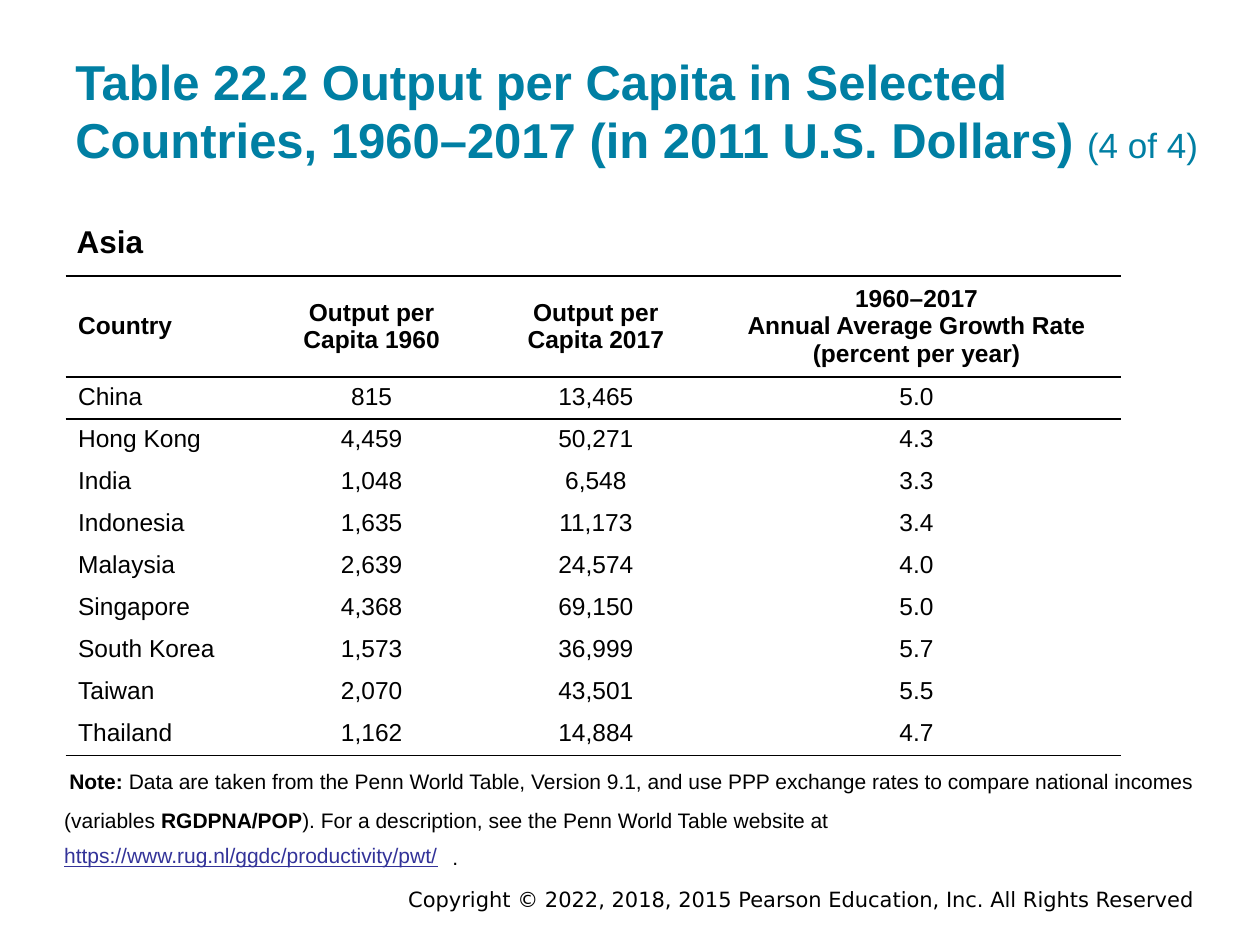
from lxml.etree import SubElement
from pptx import Presentation
from pptx.dml.color import RGBColor
from pptx.enum.text import MSO_ANCHOR, PP_ALIGN
from pptx.oxml.ns import qn
from pptx.util import Inches, Pt

TEAL = RGBColor(0x00, 0x7F, 0xA3)
BLACK = RGBColor(0x00, 0x00, 0x00)
WHITE = RGBColor(0xFF, 0xFF, 0xFF)
LINK_BLUE = RGBColor(0x33, 0x33, 0x99)
NO_STYLE = "{2D5ABB26-0587-4C30-8999-92F81FD0307C}"

WIDTH, HEIGHT = Inches(10), Inches(7.5)

TITLE = [
    ("Table 22.2 Output per Capita in Selected Countries, 1960–2017 (in 2011 U.S. Dollars) ", {"bold": True}),
    ("(4 of 4)", {"size": 20}),
]
REGION = [("Asia", {"bold": True})]
NOTE = [
    ("Note: ", {"bold": True}),
    ("Data are taken from the Penn World Table, Version 9.1, and use PPP exchange rates "
     "to compare national incomes", {}),
]
VARIABLES = [
    ("(variables ", {}),
    ("RGDPNA/POP", {"bold": True}),
    ("). For a description, see the Penn World Table website at", {}),
]
WEBSITE = [("https://www.rug.nl/ggdc/productivity/pwt/", {"underline": True})]
FULL_STOP = [(".", {})]
COPYRIGHT = [("Copyright © 2022, 2018, 2015 Pearson Education, Inc. All Rights Reserved", {})]

HEADINGS = (
    "Country",
    "Output per Capita 1960",
    "Output per Capita 2017",
    "1960–2017\nAnnual Average Growth Rate\n(percent per year)",
)
COUNTRIES = [
    ("China", "815", "13,465", "5.0"),
    ("Hong Kong", "4,459", "50,271", "4.3"),
    ("India", "1,048", "6,548", "3.3"),
    ("Indonesia", "1,635", "11,173", "3.4"),
    ("Malaysia", "2,639", "24,574", "4.0"),
    ("Singapore", "4,368", "69,150", "5.0"),
    ("South Korea", "1,573", "36,999", "5.7"),
    ("Taiwan", "2,070", "43,501", "5.5"),
    ("Thailand", "1,162", "14,884", "4.7"),
]

# Shares of the slide, in percent: left, top, width, height
TITLE_AREA = (5, 3.2, 92.1, 16)
REGION_AREA = (5.1, 22.13, 10, 6.4)
TABLE_AREA = (5.2, 29.2, 83.8, 48.6)
NOTE_AREA = (5.5, 81.33, 91.5, 3.33)
VARIABLES_AREA = (5.1, 85.47, 64, 3.2)
WEBSITE_AREA = (5.1, 89.2, 30.6, 3.6)
FULL_STOP_AREA = (35.9, 89.33, 1.1, 3.33)
COPYRIGHT_AREA = (17.5, 93.73, 78.3, 2.93)
COLUMN_SHARES = (15.7, 17.2, 18.4, 32.5)
HEADING_SHARE, COUNTRY_SHARE = 10.14, 4.25


def across(share):
    return int(WIDTH * share / 100)


def down(share):
    return int(HEIGHT * share / 100)


def place(area):
    left, top, width, height = area
    return across(left), down(top), across(width), down(height)


def write(frame, runs, size=12, font="Arial", color=BLACK, align=PP_ALIGN.LEFT):
    paragraph = frame.paragraphs[0]
    for words, look in runs:
        for number, line in enumerate(words.split("\n")):
            if number:
                paragraph = frame.add_paragraph()
            paragraph.alignment = align
            run = paragraph.add_run()
            run.text = line
            run.font.name = font
            run.font.size = Pt(look.get("size", size))
            run.font.bold = look.get("bold", False)
            run.font.underline = look.get("underline", False)
            run.font.color.rgb = color


def add_text(slide, area, runs, inset=(0, 0), anchor=MSO_ANCHOR.TOP, **look):
    frame = slide.shapes.add_textbox(*place(area)).text_frame
    frame.word_wrap = True
    frame.vertical_anchor = anchor
    frame.margin_left = frame.margin_right = Inches(inset[0])
    frame.margin_top = frame.margin_bottom = Inches(inset[1])
    write(frame, runs, **look)


def rule(cell, *sides):
    properties = cell._tc.get_or_add_tcPr()
    for position, side in enumerate(sides):
        line = properties.makeelement(qn(f"a:ln{side}"), {"w": str(Pt(1))})
        fill = SubElement(line, qn("a:solidFill"))
        SubElement(fill, qn("a:srgbClr"), val=str(BLACK))
        properties.insert(position, line)


def add_output_table(slide):
    records = [HEADINGS] + COUNTRIES
    table = slide.shapes.add_table(len(records), len(HEADINGS), *place(TABLE_AREA)).table
    table.first_row = table.horz_banding = False
    table._tbl.tblPr.find(qn("a:tableStyleId")).text = NO_STYLE
    for column, share in zip(table.columns, COLUMN_SHARES):
        column.width = across(share)
    borders = {0: "TB", 1: "T", len(COUNTRIES): "B"}
    for r, record in enumerate(records):
        heading = r == 0
        table.rows[r].height = down(HEADING_SHARE if heading else COUNTRY_SHARE)
        for c, value in enumerate(record):
            cell = table.cell(r, c)
            cell.fill.solid()
            cell.fill.fore_color.rgb = WHITE
            cell.vertical_anchor = MSO_ANCHOR.MIDDLE if heading else MSO_ANCHOR.TOP
            write(cell.text_frame, [(value, {"bold": heading})], size=14,
                  align=PP_ALIGN.CENTER if c else PP_ALIGN.LEFT)
            rule(cell, *borders.get(r, ""))


def main():
    deck = Presentation()
    deck.slide_width, deck.slide_height = WIDTH, HEIGHT
    slide = deck.slides.add_slide(deck.slide_layouts[6])
    add_text(slide, COPYRIGHT_AREA, COPYRIGHT, inset=(0.1, 0.05), anchor=MSO_ANCHOR.MIDDLE,
             font="DejaVu Sans", align=PP_ALIGN.RIGHT)
    add_text(slide, TITLE_AREA, TITLE, inset=(0.1, 0.1), anchor=MSO_ANCHOR.BOTTOM,
             size=28, color=TEAL)
    add_text(slide, REGION_AREA, REGION, inset=(0.1, 0.1), size=18)
    add_output_table(slide)
    add_text(slide, NOTE_AREA, NOTE)
    add_text(slide, VARIABLES_AREA, VARIABLES)
    add_text(slide, WEBSITE_AREA, WEBSITE, color=LINK_BLUE)
    add_text(slide, FULL_STOP_AREA, FULL_STOP)
    deck.save("out.pptx")


if __name__ == "__main__":
    main()
